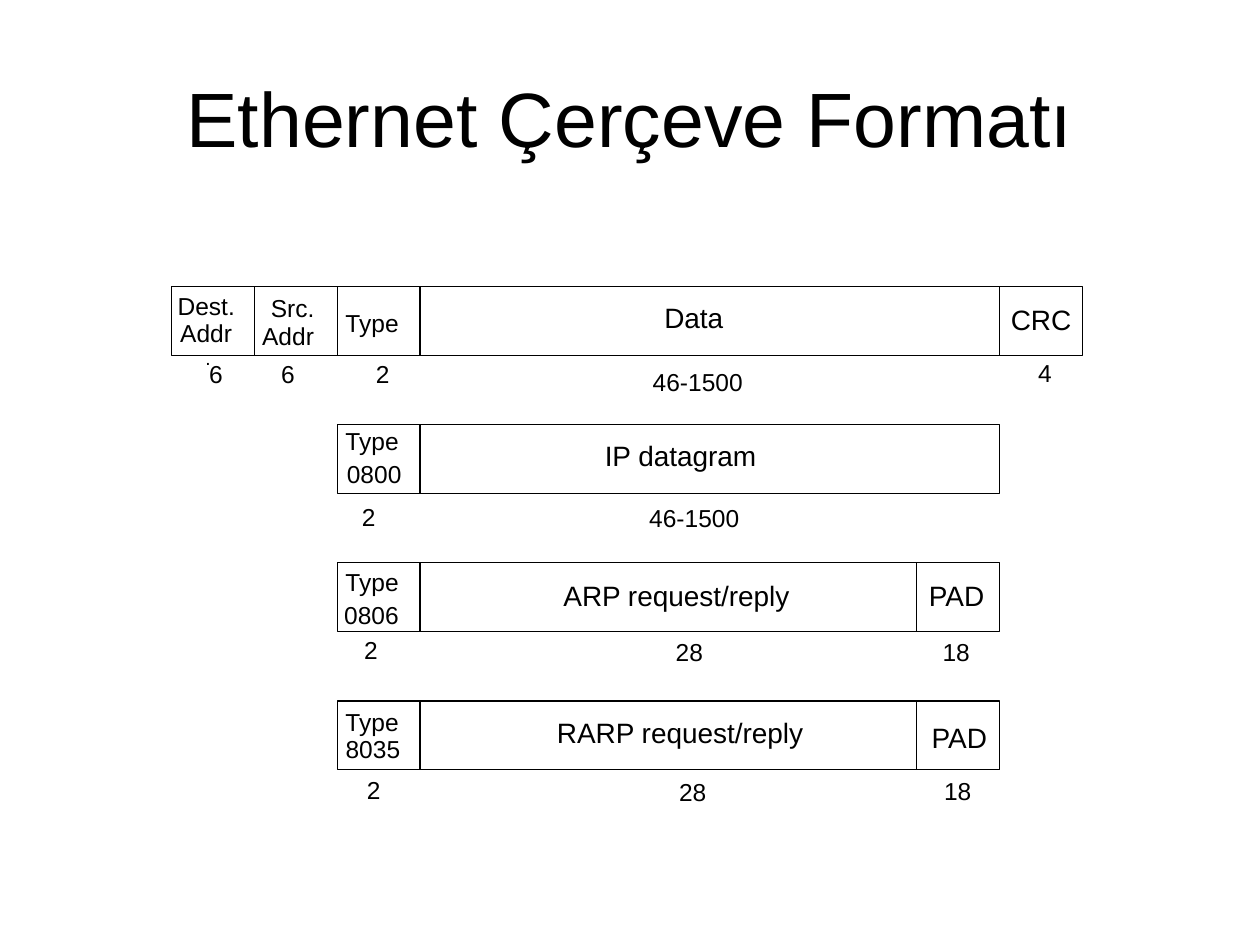
"""Build the slide on the Ethernet frame format and its three payload types."""
from dataclasses import dataclass

from lxml.etree import SubElement
from pptx import Presentation
from pptx.dml.color import RGBColor
from pptx.enum.shapes import MSO_CONNECTOR as Connector, MSO_SHAPE as Shape
from pptx.enum.text import MSO_ANCHOR as Anchor, MSO_AUTO_SIZE as AutoSize, PP_ALIGN as Align
from pptx.oxml.ns import qn
from pptx.util import Pt


@dataclass(frozen=True)
class Theme:
    font: str = "Arial"
    ink: RGBColor = RGBColor(0, 0, 0)
    paper: RGBColor = RGBColor(255, 255, 255)
    line: float = 0.75
    title: float = 44
    field: float = 16
    small: float = 14
    dot: float = 11


THEME = Theme()
FIELD, SMALL, DOT = THEME.field, THEME.small, THEME.dot
LEFT, UNIT = 98.1, 47.3
TOP, PITCH, HEIGHT = 163.7, 78.95, 39.4
LINE_RATIO = 1.17

FRAMES = [
    ((0, 1, 2, 3, 10, 11), [
        ("Dest.", 101.5, 2.7, 33.5, SMALL), ("Addr", 103, 18.3, 30, SMALL),
        (".", 117.4, 34.4, 3.2, DOT),
        ("Src.", 154.8, 3.9, 25.6, SMALL), ("Addr", 149.8, 19.9, 30, SMALL),
        ("Type", 197.4, 12.1, 31.5, SMALL), ("Data", 379.6, 8.2, 34, FIELD),
        ("CRC", 577.6, 9.2, 35, FIELD),
        ("6", 119.5, 41.6, 8, SMALL), ("6", 160.6, 41.6, 8, SMALL),
        ("2", 214.8, 41.6, 8, SMALL), ("46-1500", 373, 45.9, 52, SMALL),
        ("4", 593.3, 40.9, 8, SMALL)]),
    ((2, 3, 10), [
        ("Type", 197.4, 0.8, 31.5, SMALL), ("0800", 198.2, 19.5, 32, SMALL),
        ("IP datagram", 345.6, 8, 87.2, FIELD),
        ("2", 206.8, 44, 8, SMALL), ("46-1500", 371, 44.7, 52, SMALL)]),
    ((2, 3, 9, 10), [
        ("Type", 197.4, 2.4, 31.5, SMALL), ("0806", 196.7, 21.1, 32, SMALL),
        ("ARP request/reply", 322, 8.9, 130, FIELD), ("PAD", 530.8, 8.9, 33.2, FIELD),
        ("2", 208.1, 41.3, 8, SMALL), ("28", 386.1, 42.7, 16, SMALL),
        ("18", 538.6, 42.7, 16, SMALL)]),
    ((2, 3, 9, 10), [
        ("Type", 197.4, 3.3, 31.5, SMALL), ("8035", 197.5, 18.9, 32, SMALL),
        ("RARP request/reply", 318.3, 8.4, 141.4, FIELD), ("PAD", 532.4, 11.2, 33.2, FIELD),
        ("2", 209.7, 42.2, 8, SMALL), ("28", 388.1, 43.6, 16, SMALL),
        ("18", 539.5, 42.9, 16, SMALL)]),
]


def write_text(frame, text, size, align=Align.LEFT, anchor=Anchor.TOP):
    paragraph = frame.paragraphs[0]
    paragraph.alignment = align
    frame.vertical_anchor = anchor
    run = paragraph.add_run()
    run.text = text
    run.font.name = THEME.font
    run.font.size = Pt(size)
    run.font.color.rgb = THEME.ink


class SlideBuilder:
    def __init__(self, slide, theme):
        self.slide = slide
        self.theme = theme

    def title(self, text, left, top, width, height):
        shape = self.slide.shapes.add_textbox(Pt(left), Pt(top), Pt(width), Pt(height))
        shape.text_frame.word_wrap = True
        write_text(shape.text_frame, text, self.theme.title, Align.CENTER, Anchor.MIDDLE)

    def label(self, text, left, top, width, size):
        shape = self.slide.shapes.add_textbox(
            Pt(left), Pt(top), Pt(width), Pt(size * LINE_RATIO))
        frame = shape.text_frame
        frame.margin_left = frame.margin_right = frame.margin_top = frame.margin_bottom = 0
        frame.word_wrap = False
        frame.auto_size = AutoSize.SHAPE_TO_FIT_TEXT
        write_text(frame, text, size)

    def box(self, left, top, width, height):
        shape = self.slide.shapes.add_shape(
            Shape.RECTANGLE, Pt(left), Pt(top), Pt(width), Pt(height))
        shape.shadow.inherit = False
        shape.fill.solid()
        shape.fill.fore_color.rgb = self.theme.paper
        self.outline(shape)

    def divider(self, x, top, bottom):
        connector = self.slide.shapes.add_connector(
            Connector.STRAIGHT, Pt(x), Pt(top), Pt(x), Pt(bottom))
        self.outline(connector)
        SubElement(connector._element.spPr, qn("a:effectLst"))

    def outline(self, shape):
        shape.line.color.rgb = self.theme.ink
        shape.line.width = Pt(self.theme.line)

    def frame(self, top, edges, labels):
        first, *inner, last = [LEFT + UNIT * edge for edge in edges]
        self.box(first, top, last - first, HEIGHT)
        for x in inner:
            self.divider(x, top, top + HEIGHT)
        for text, left, drop, width, size in labels:
            self.label(text, left, top + drop, width, size)


def main():
    presentation = Presentation()
    presentation.slide_width, presentation.slide_height = Pt(720), Pt(540)
    slide = presentation.slides.add_slide(presentation.slide_layouts[6])
    builder = SlideBuilder(slide, THEME)
    builder.title("Ethernet Çerçeve Formatı", 36, 21.6, 648, 90)
    for row, (edges, labels) in enumerate(FRAMES):
        builder.frame(TOP + PITCH * row, edges, labels)
    presentation.save("out.pptx")


if __name__ == "__main__":
    main()
